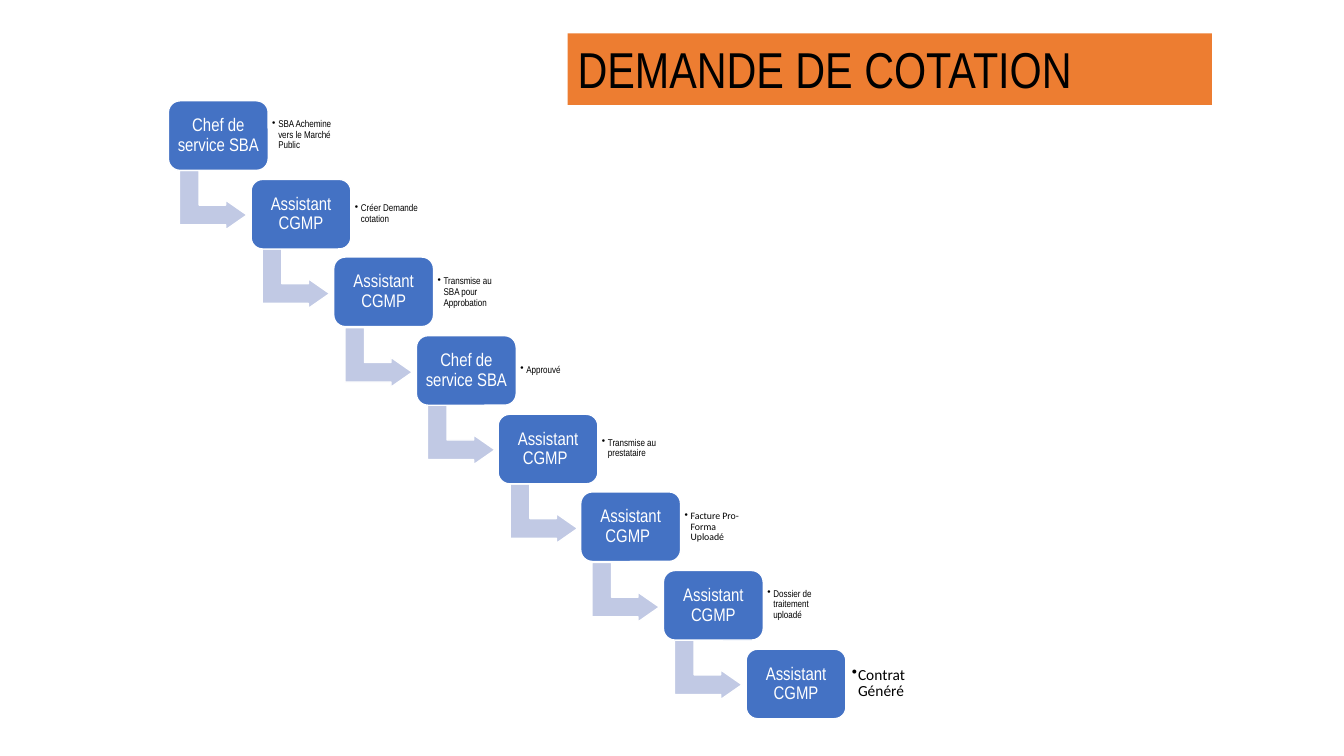
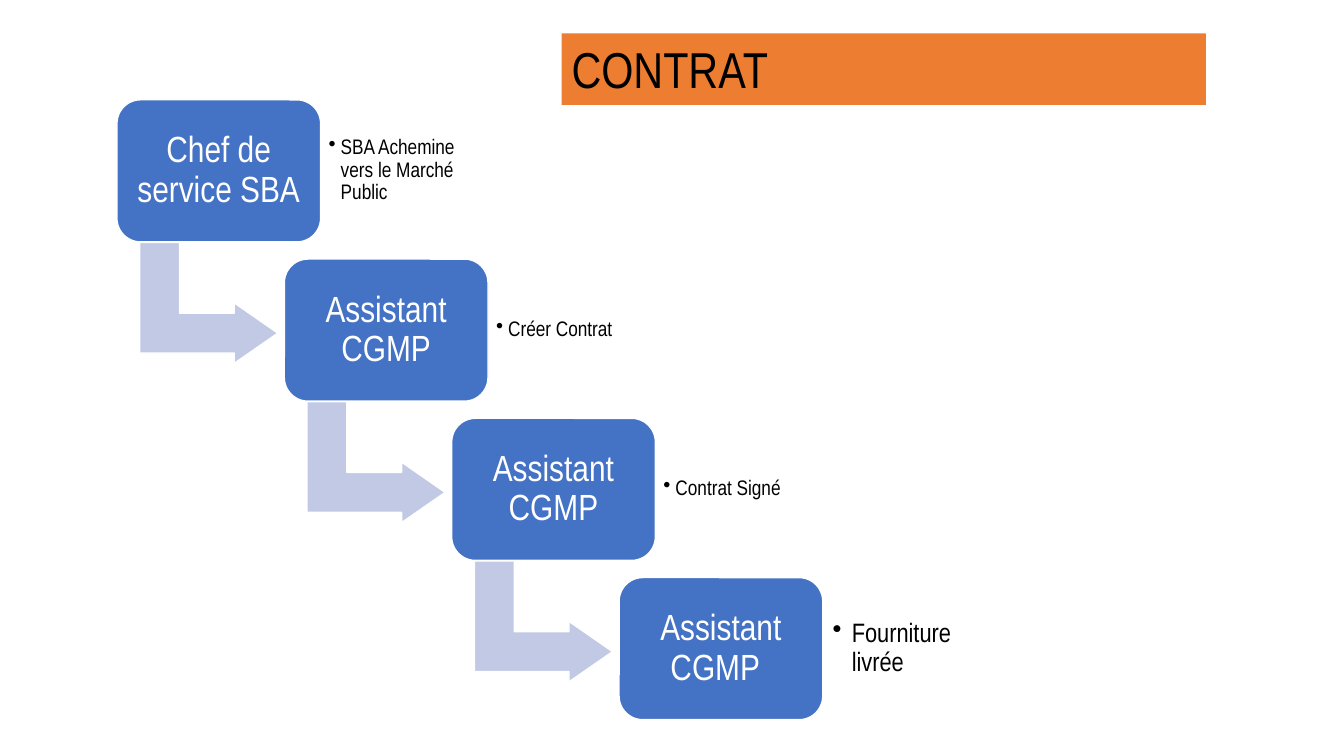
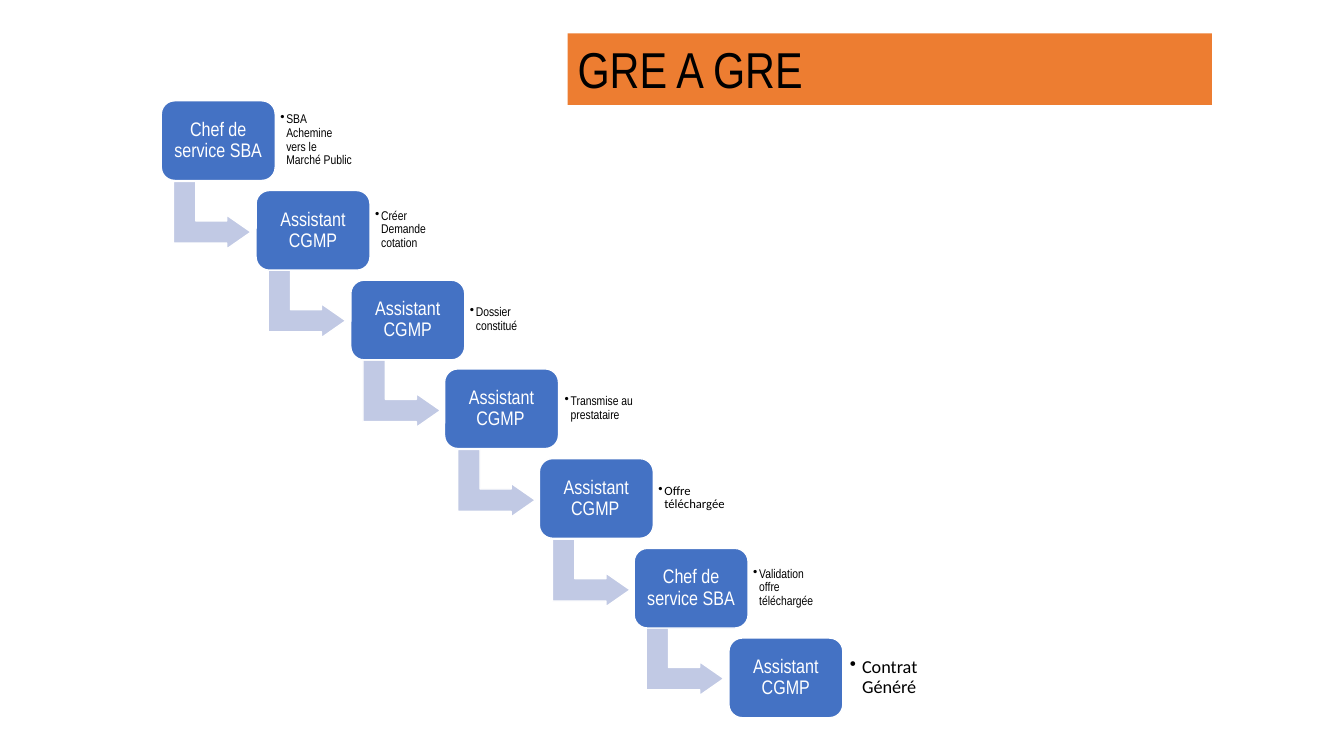
from lxml.etree import SubElement
from pptx import Presentation
from pptx.dml.color import RGBColor
from pptx.enum.shapes import MSO_SHAPE as Shape
from pptx.enum.text import MSO_ANCHOR as Anchor, MSO_AUTO_SIZE as AutoSize, PP_ALIGN as Align
from pptx.oxml.ns import qn
from pptx.util import Emu, Pt

SCALE = 9144
COLORS = {"band": "ED7D31", "node": "4472C4", "arrow": "C1C9E4", "white": "FFFFFF", "black": "000000"}
NARROW, CALIBRI = "Arial Narrow", "Calibri"
INDENTS = {7: 6, 9: 6, 11: 6, 13: 12, 15: 12, 19: 19}
CHIEF, ASSISTANT = "Chef de service SBA", "Assistant CGMP"
ASSISTANT_TAB = ASSISTANT + "\t"

FLOWS = [
    {
        "title": "DEMANDE DE COTATION", "title_left": 563, "box": (167, 100, 672, 613),
        "label_size": 13, "note_size": 7, "last_size": 11,
        "steps": [
            (CHIEF, "SBA Achemine vers le Marché Public", NARROW),
            (ASSISTANT, "Créer Demande cotation", NARROW),
            (ASSISTANT, "Transmise au SBA pour Approbation", NARROW),
            (CHIEF, "Approuvé", NARROW),
            (ASSISTANT_TAB, "Transmise au prestataire", NARROW),
            (ASSISTANT_TAB, "Facture Pro-Forma Uploadé", CALIBRI),
            (ASSISTANT, "Dossier de traitement uploadé", NARROW),
            (ASSISTANT, "Contrat Généré", CALIBRI),
        ],
    },
    {
        "title": "CONTRAT", "title_left": 557, "box": (116, 99, 700, 615),
        "label_size": 26, "note_size": 15, "last_size": 19,
        "steps": [
            (CHIEF, "SBA Achemine vers le Marché Public", NARROW),
            (ASSISTANT, "Créer Contrat", NARROW),
            (ASSISTANT, "Contrat Signé", NARROW),
            (ASSISTANT_TAB, "Fourniture livrée", NARROW),
        ],
    },
    {
        "title": "GRE A GRE", "title_left": 563, "box": (160, 100, 676, 612),
        "label_size": 14, "note_size": 9, "last_size": 13,
        "steps": [
            (CHIEF, "SBA Achemine vers le Marché Public", NARROW),
            (ASSISTANT, "Créer Demande cotation", NARROW),
            (ASSISTANT, "Dossier constitué", NARROW),
            (ASSISTANT_TAB, "Transmise au prestataire", NARROW),
            (ASSISTANT_TAB, "Offre téléchargée", CALIBRI),
            (CHIEF, "Validation offre téléchargée", NARROW),
            (ASSISTANT, "Contrat Généré", CALIBRI),
        ],
    },
]


def px(length):
    """Turn a length in px into EMU."""
    return Emu(round(length) * SCALE)


def color(name):
    """Return the named palette colour."""
    return RGBColor.from_string(COLORS[name])


def add_block(slide, kind, box, fill, line=None):
    """Add a flat preset shape in the given box."""
    shape = slide.shapes.add_shape(kind, *map(px, box))
    shape.shadow.inherit = False
    shape.fill.solid()
    shape.fill.fore_color.rgb = color(fill)
    if line:
        shape.line.color.rgb = color(line)
        shape.line.width = Pt(1)
    else:
        shape.line.fill.background()
    return shape


def write(shape, text, size, ink, font=NARROW, align=Align.LEFT, anchor=Anchor.MIDDLE, inset=None):
    """Write one paragraph into a shape and return it."""
    frame = shape.text_frame
    frame.word_wrap = True
    frame.vertical_anchor = anchor
    if inset is not None:
        frame.margin_left = frame.margin_right = px(inset)
        frame.margin_top = frame.margin_bottom = px(inset)
    paragraph = frame.paragraphs[0]
    paragraph.text = text
    paragraph.alignment = align
    paragraph.font.name = font
    paragraph.font.size = Pt(size)
    paragraph.font.color.rgb = color(ink)
    return paragraph


def add_title(slide, text, left):
    """Add the orange title band."""
    band = add_block(slide, Shape.RECTANGLE, (left, 33, 639, 71), "band")
    write(band, text, 36, "black", anchor=Anchor.TOP)
    band.text_frame.auto_size = AutoSize.SHAPE_TO_FIT_TEXT


def add_arrow(slide, left, top, unit):
    """Add the bent arrow that leads from a node to the next one."""
    box = (left + 0.22 * unit, top + 0.94 * unit, 0.85 * unit, 0.97 * unit)
    arrow = add_block(slide, Shape.BENT_UP_ARROW, box, "arrow", "white")
    arrow.rotation = 90
    for index, value in enumerate((0.33, 0.25, 0.36)):
        arrow.adjustments[index] = value


def add_node(slide, box, text, size):
    """Add a rounded box naming who acts."""
    node = add_block(slide, Shape.ROUNDED_RECTANGLE, box, "node", "white")
    paragraph = write(node, text, size, "white", align=Align.CENTER, inset=0.075 * box[3])
    paragraph.line_spacing = 0.9


def add_note(slide, left, top, unit, text, size, font):
    """Add the bulleted action to the right of a node."""
    box = (left, top + 0.09 * unit, 1.04 * unit, 0.81 * unit)
    note = slide.shapes.add_textbox(*map(px, box))
    paragraph = write(note, text, size, "black", font, inset=0.53 * size)
    paragraph.level = 1
    paragraph.line_spacing = 0.9
    properties = paragraph._p.get_or_add_pPr()
    indent = px(INDENTS[size])
    properties.set("marL", str(indent))
    properties.set("indent", str(-indent))
    bullet = SubElement(properties, qn("a:buChar"))
    bullet.set("char", "•")
    properties.find(qn("a:defRPr")).addprevious(bullet)


def add_staircase(slide, box, flow):
    """Spread the steps evenly down the diagonal of the box."""
    left, top, width, height = box
    steps = flow["steps"]
    last = len(steps) - 1
    unit = height / (1 + 1.12 * last)
    node_width = 1.43 * unit
    for index, (label, action, font) in enumerate(steps):
        x = left + index * (width - node_width) / last
        y = top + index * (height - unit) / last
        if index < last:
            add_arrow(slide, x, y, unit)
        add_node(slide, (x, y, node_width, unit), label, flow["label_size"])
        size = flow["note_size"] if index < last else flow["last_size"]
        add_note(slide, x + node_width, y, unit, action, size, font)


def main():
    """Build the three process slides."""
    presentation = Presentation()
    presentation.slide_width = px(1333)
    presentation.slide_height = px(750)
    for flow in FLOWS:
        slide = presentation.slides.add_slide(presentation.slide_layouts[6])
        add_staircase(slide, flow["box"], flow)
        add_title(slide, flow["title"], flow["title_left"])
    presentation.save("out.pptx")


if __name__ == "__main__":
    main()
